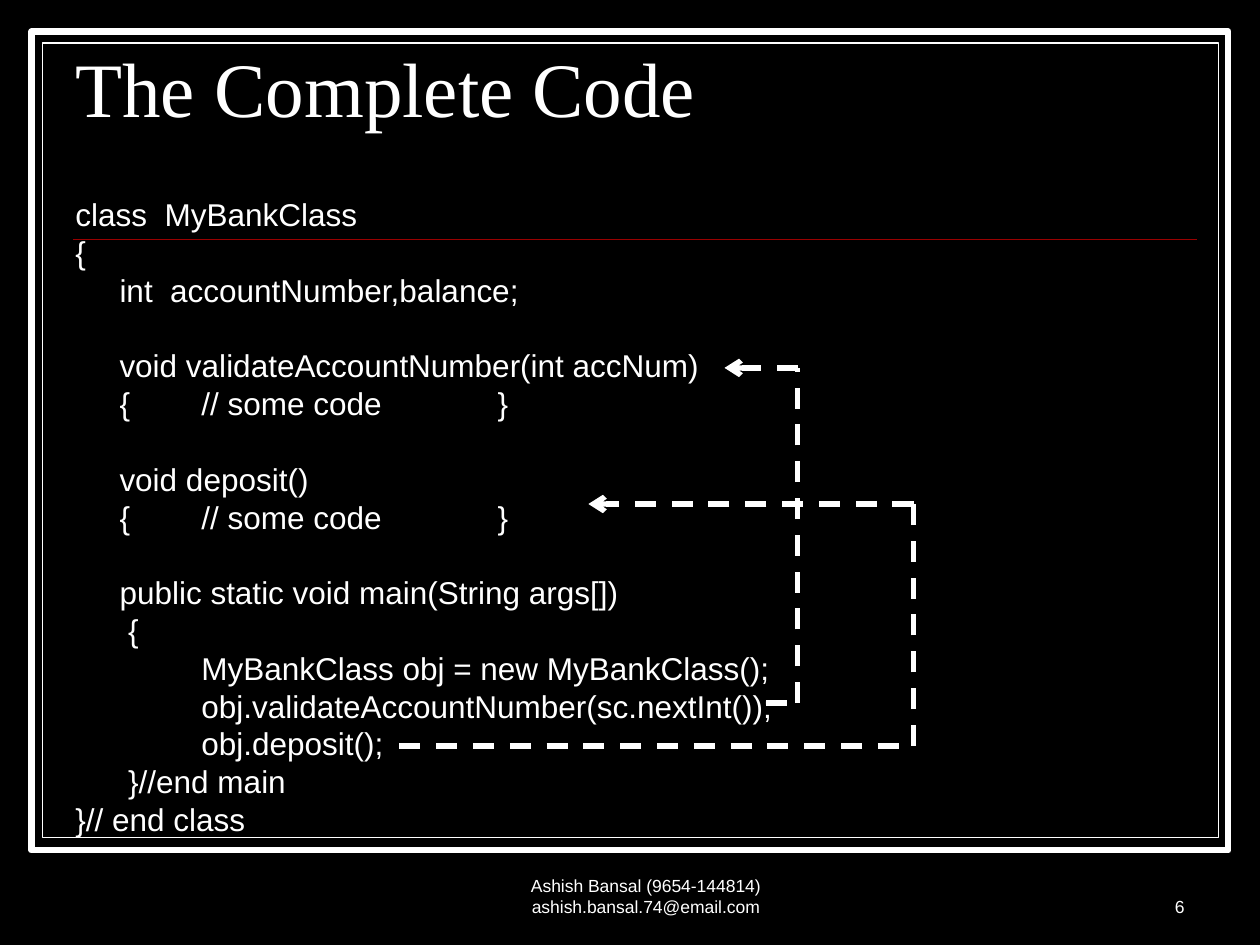
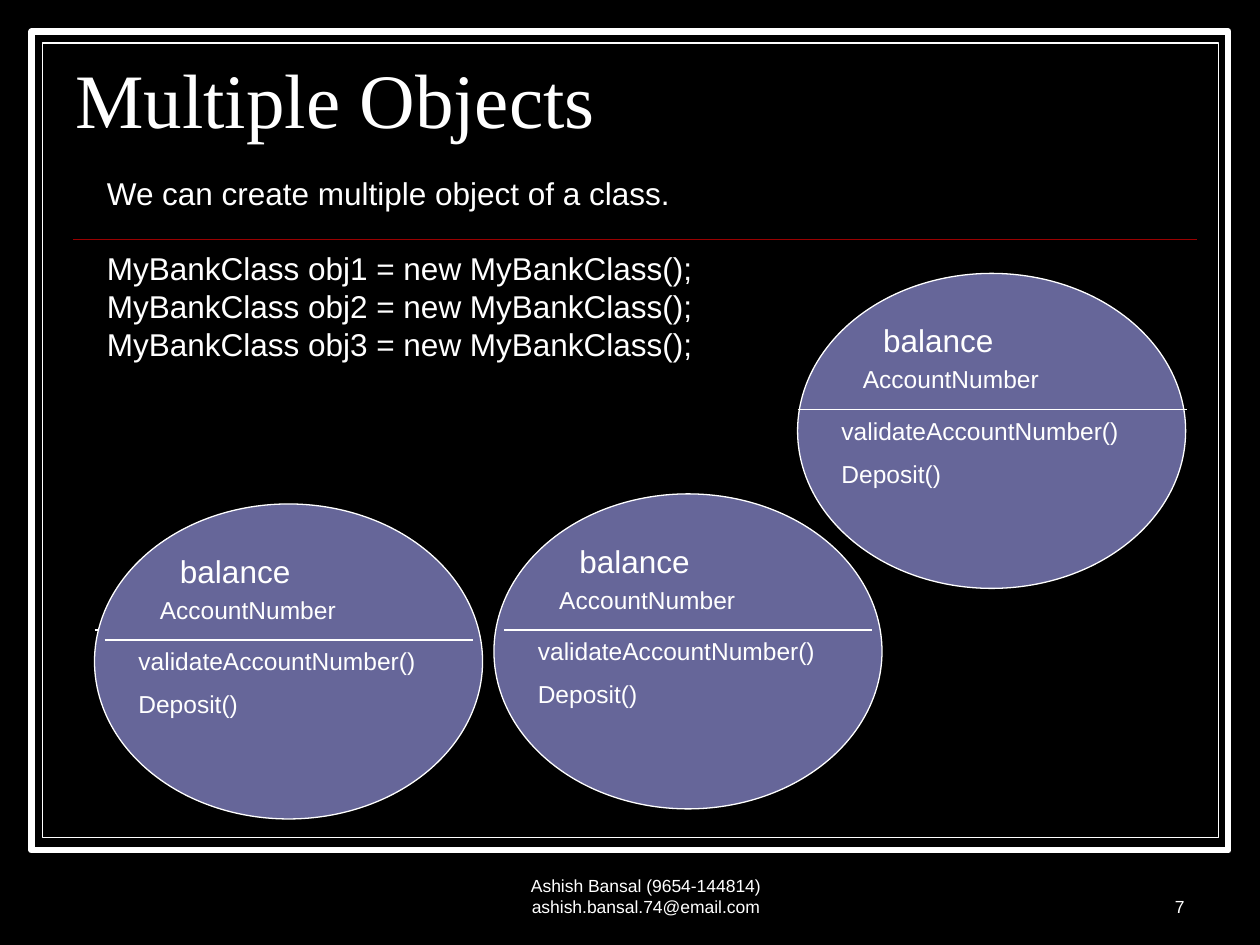
from itertools import pairwise

from lxml import etree
from pptx import Presentation
from pptx.dml.color import RGBColor
from pptx.enum.dml import MSO_LINE
from pptx.enum.shapes import MSO_CONNECTOR, MSO_SHAPE
from pptx.enum.text import MSO_ANCHOR, PP_ALIGN
from pptx.oxml.ns import qn
from pptx.util import Inches, Pt

BLACK = RGBColor(0x00, 0x00, 0x00)
WHITE = RGBColor(0xFF, 0xFF, 0xFF)
RED = RGBColor(0x99, 0x00, 0x00)
VIOLET = RGBColor(0x66, 0x66, 0x99)
BODY_FONT, TITLE_FONT = "Arial", "Times New Roman"
LEFT, CENTER, RIGHT = PP_ALIGN.LEFT, PP_ALIGN.CENTER, PP_ALIGN.RIGHT
TOP, BOTTOM = MSO_ANCHOR.TOP, MSO_ANCHOR.BOTTOM
RECTANGLE, OVAL = MSO_SHAPE.RECTANGLE, MSO_SHAPE.OVAL
STRAIGHT, DASH = MSO_CONNECTOR.STRAIGHT, MSO_LINE.DASH
LINE_HEIGHT = 1.2
FOOTER = "Ashish Bansal (9654-144814) ashish.bansal.74@email.com"

# Each paragraph is (text, blank lines above it)
CODE = [
    ("class  MyBankClass", 0),
    ("{", 0),
    ("\tint  accountNumber,balance;", 0),
    ("\tvoid validateAccountNumber(int accNum)", 1),
    ("\t{\t// some code\t}", 0),
    ("\tvoid deposit()", 1),
    ("\t{\t// some code\t}", 0),
    ("\tpublic static void main(String args[])", 1),
    ("\t {", 0),
    ("\t\tMyBankClass obj = new MyBankClass();", 0),
    ("\t\tobj.validateAccountNumber(sc.nextInt());", 0),
    ("\t\tobj.deposit();", 0),
    ("\t }//end main", 0),
    ("}// end class", 0),
]
CODE_TABS = (0.35, 1, 3.35)
# Corners of the call arrows, measured from the code box
CALLS = [
    [(5.58, 4.08), (5.83, 4.08), (5.83, 1.42), (5.25, 1.42)],
    [(2.67, 4.42), (6.75, 4.42), (6.75, 2.5), (4.17, 2.5)],
]
CREATION = [("We can create multiple object of a class.", 0)] + [
    (f"MyBankClass obj{number} = new MyBankClass();", int(number == 1))
    for number in (1, 2, 3)
]
# Text, size and box of each member, measured from the object's corner
MEMBERS = [
    ("balance", 18, (0.58, 0.33, 1.08, 0.33)),
    ("AccountNumber", 14, (0.42, 0.67, 2.17, 0.33)),
    ("validateAccountNumber()", 14, (0.25, 1.08, 2.42, 0.42)),
    ("Deposit()", 14, (0.25, 1.42, 1.17, 0.42)),
]
# Left and top of each object, then start and end of its divider
OBJECTS = [
    (0.75, 4, 0.08, 3),
    (3.92, 3.92, 0.08, 3),
    (6.33, 2.17, 0, 3.09),
]


def write(frame, lines, size, font=BODY_FONT, align=LEFT, anchor=TOP,
          spacing=None, tabs=()):
    """Fill a text frame with (text, blank lines above) paragraphs."""
    frame.word_wrap = True
    frame.vertical_anchor = anchor
    for index, (text, gap) in enumerate(lines):
        para = frame.add_paragraph() if index else frame.paragraphs[0]
        para.text = text
        para.alignment = align
        para.line_spacing = spacing or Pt(size * LINE_HEIGHT)
        para.space_before = Pt(gap * size * LINE_HEIGHT)
        for span in para.runs:
            span.font.size = Pt(size)
            span.font.name = font
            span.font.color.rgb = WHITE
        if tabs:
            stops = etree.SubElement(para._p.get_or_add_pPr(), qn("a:tabLst"))
            for stop in tabs:
                etree.SubElement(stops, qn("a:tab"), pos=str(Inches(stop)), algn="l")


def add_text(page, box, lines, size, **style):
    """Add a text box."""
    text_box = page.shapes.add_textbox(*map(Inches, box))
    write(text_box.text_frame, lines, size, **style)


def add_panel(shapes, kind, box, fill, width=0):
    """Add a filled shape, with a white outline if a width is given."""
    panel = shapes.add_shape(kind, *map(Inches, box))
    panel.shadow.inherit = False
    panel.fill.solid()
    panel.fill.fore_color.rgb = fill
    if width:
        panel.line.color.rgb = WHITE
        panel.line.width = Pt(width)
    else:
        panel.line.fill.background()
    return panel


def add_line(shapes, start, end, color=WHITE, width=0.75, dashed=False, arrow=False):
    """Add a straight line, optionally dashed or with an arrowhead at its end."""
    line = shapes.add_connector(STRAIGHT, *map(Inches, (*start, *end)))
    line.line.color.rgb = color
    line.line.width = Pt(width)
    if dashed:
        line.line.dash_style = DASH
    properties = line._element.spPr
    if arrow:
        etree.SubElement(properties.find(qn("a:ln")), qn("a:tailEnd"), type="arrow")
    etree.SubElement(properties, qn("a:effectLst"))


def add_page(deck, title, title_height, number):
    """Add a page with the double frame, red rule, title and footer."""
    page = deck.slides.add_slide(deck.slide_layouts[6])
    page.background.fill.solid()
    page.background.fill.fore_color.rgb = BLACK
    add_panel(page.shapes, RECTANGLE, (0.25, 0.25, 9.5, 6.5), BLACK, 3.5)
    add_panel(page.shapes, RECTANGLE, (0.34, 0.34, 9.33, 6.31), BLACK, 0.75)
    add_line(page.shapes, (0.58, 1.9), (9.5, 1.9), RED, 1)
    add_text(page, (0.5, 0.42, 8.92, title_height), [(title, 0)], 44,
             font=TITLE_FONT, anchor=BOTTOM, spacing=0.8)
    add_text(page, (3.54, 6.83, 3.17, 0.5), [(FOOTER, 0)], 10,
             align=CENTER, anchor=BOTTOM)
    add_text(page, (7.42, 6.83, 2.08, 0.5), [(str(number), 0)], 10,
             align=RIGHT, anchor=BOTTOM)
    return page


def add_code(page, box):
    """Add the class listing and the dashed arrows from calls to methods."""
    left, top = box[:2]
    add_text(page, box, CODE, 18, tabs=CODE_TABS)
    for corners in CALLS:
        points = [(left + x, top + y) for x, y in corners]
        for start, end in pairwise(points):
            add_line(page.shapes, start, end, width=3, dashed=True,
                     arrow=end == points[-1])


def add_object(page, box, divider_start, divider_end):
    """Add one object: an ellipse with its fields above its methods."""
    left, top = box[:2]
    group = page.shapes.add_group_shape()
    add_panel(group.shapes, OVAL, box, VIOLET, 0.75)
    for text, size, (x, y, width, height) in MEMBERS:
        label = add_panel(group.shapes, RECTANGLE,
                          (left + x, top + y, width, height), VIOLET)
        label.text_frame.margin_right = 0
        write(label.text_frame, [(text, 0)], size)
    add_line(group.shapes, (left + divider_start, top + 1.08),
             (left + divider_end, top + 1.08))


def main():
    """Build and save the deck."""
    deck = Presentation()
    deck.slide_width, deck.slide_height = Inches(10), Inches(7.5)

    page = add_page(deck, "The Complete Code", 0.68, 6)
    add_code(page, (0.5, 1.5, 8.42, 5.25))

    page = add_page(deck, "Multiple Objects", 0.77, 7)
    add_text(page, (0.75, 1.33, 4.98, 1.92), CREATION, 18)
    add_line(page.shapes, (0.75, 5), (3.75, 5))
    for left, top, divider_start, divider_end in OBJECTS:
        add_object(page, (left, top, 3.08, 2.5), divider_start, divider_end)

    deck.save("out.pptx")


main()
